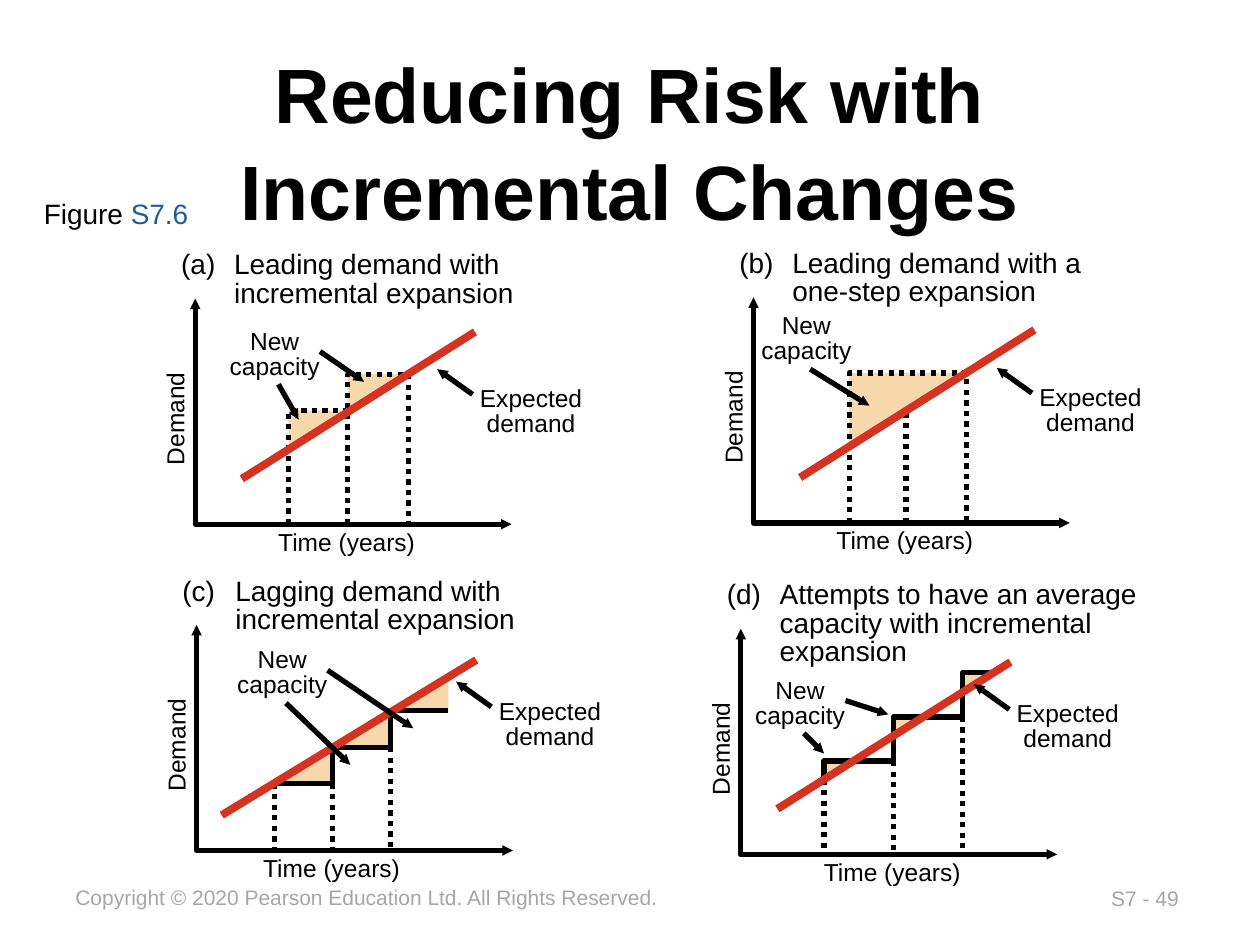
from dataclasses import dataclass

from lxml.etree import SubElement
from pptx import Presentation
from pptx.dml.color import RGBColor
from pptx.enum.dml import MSO_LINE
from pptx.enum.shapes import MSO_CONNECTOR
from pptx.enum.text import MSO_ANCHOR, PP_ALIGN
from pptx.oxml.ns import qn
from pptx.util import Inches, Pt

BLACK, GRAY, BLUE = "000000", "A6A6A6", "255898"
RED, TAN = "D33320", "F7D7AC"
AXIS_WIDTH, AXIS_HEIGHT = 2.51, 1.79


@dataclass
class Stairs:
    start: tuple
    tread: float
    rise: float
    count: int
    last_tread: float
    lagging: bool = False
    solid: bool = False

    def steps(self):
        x, y = self.start
        for index in range(self.count):
            last = index == self.count - 1
            left = x + index * self.tread
            right = left + (self.last_tread if last else self.tread)
            yield index, left, right, y - index * self.rise


@dataclass
class Panel:
    caption: str
    caption_width: float
    origin: tuple
    capacity: tuple
    expected: tuple
    demand_start: tuple
    demand_run: float
    stairs: Stairs
    tips: list
    slope: float = 0.63
    time_offset: float = 0.56

    def place(self, x, y):
        return self.origin[0] + x, self.origin[1] + y

    def demand_at(self, x):
        return self.demand_start[1] - (x - self.demand_start[0]) * self.slope

    def time_at(self, y):
        return self.demand_start[0] + (self.demand_start[1] - y) / self.slope


PANELS = [
    Panel("(a)\tLeading demand with incremental expansion", 3.14,
          (1.55, 2.37), (0.13, 0.2), (2.07, 0.66), (0.37, 1.43), 1.85,
          Stairs((0.74, 0.89), 0.47, 0.29, 2, 0.48),
          [(0.82, 0.96), (1.34, 0.66)]),
    Panel("(b)\tLeading demand with a one-step expansion", 3.14,
          (5.98, 2.36), (-0.08, 0.09), (2.08, 0.66), (0.37, 1.43), 1.86,
          Stairs((0.76, 0.6), 0.45, 0, 1, 0.93),
          [(0.92, 0.86)]),
    Panel("(c)\tLagging demand with incremental expansion", 3.53,
          (1.56, 4.96), (0.18, 0.14), (2.21, 0.55), (0.2, 1.51), 2.02,
          Stairs((0.62, 1.26), 0.46, 0.29, 3, 0.46, lagging=True, solid=True),
          [(1.22, 1.11), (1.72, 0.82)], slope=0.61, time_offset=0.43),
    Panel("(d)\tAttempts to have an average capacity with incremental expansion", 3.74,
          (5.88, 4.99), (-0.03, 0.35), (2, 0.54), (0.29, 1.43), 1.85,
          Stairs((0.66, 1.05), 0.55, 0.35, 3, 0.26, solid=True),
          [(0.66, 0.99), (1.17, 0.68)]),
]


def color(value):
    return RGBColor.from_string(value)


def add_text(page, area, spans, size, bold=False, align=PP_ALIGN.LEFT,
             spacing=None, wrap=False, hanging=0):
    box = page.shapes.add_textbox(*map(Inches, area))
    box.text_frame.word_wrap = wrap
    para = box.text_frame.paragraphs[0]
    para.alignment = align
    if spacing:
        para.line_spacing = spacing
    if hanging:
        properties = para._p.get_or_add_pPr()
        properties.set("marL", str(Inches(hanging)))
        properties.set("indent", str(-Inches(hanging)))
    for text, tint in spans:
        span = para.add_run()
        span.text = text
        span.font.name = "Arial"
        span.font.size = Pt(size)
        span.font.bold = bold
        span.font.color.rgb = color(tint)
    return box


def style_line(shape, tint=BLACK, width=3, dotted=False, ends=()):
    shape.line.color.rgb = color(tint)
    shape.line.width = Pt(width)
    if dotted:
        shape.line.dash_style = MSO_LINE.ROUND_DOT
    outline = shape.element.spPr.find(qn("a:ln"))
    for end in ends:
        SubElement(outline, qn(f"a:{end}"), type="triangle", w="sm", len="sm")


def add_line(page, panel, start, end, **style):
    points = (*panel.place(*start), *panel.place(*end))
    line = page.shapes.add_connector(MSO_CONNECTOR.STRAIGHT, *map(Inches, points))
    style_line(line, **style)
    SubElement(line.element.spPr, qn("a:effectLst"))


def add_outline(page, panel, points, closed):
    corners = [tuple(map(Inches, panel.place(*point))) for point in points]
    builder = page.shapes.build_freeform(*corners[0])
    builder.add_line_segments(corners[1:], close=closed)
    shape = builder.convert_to_shape()
    shape.shadow.inherit = False
    return shape


def add_area(page, panel, x, y):
    points = [(x, panel.demand_at(x)), (x, y), (panel.time_at(y), y)]
    shape = add_outline(page, panel, points, True)
    shape.fill.solid()
    shape.fill.fore_color.rgb = color(TAN)
    shape.line.fill.background()


def add_path(page, panel, points, **style):
    shape = add_outline(page, panel, points, False)
    shape.fill.background()
    style_line(shape, **style)


def add_stairs(page, panel):
    stairs = panel.stairs
    for index, left, right, y in stairs.steps():
        add_area(page, panel, right if stairs.lagging else left, y)
    for index, left, right, y in stairs.steps():
        foot = y + stairs.rise if index else max(y, panel.demand_at(left))
        if not stairs.solid:
            points = [(left, AXIS_HEIGHT), (left, y), (right, y)]
            if index == stairs.count - 1:
                points.append((right, AXIS_HEIGHT))
            add_path(page, panel, points, dotted=True)
            continue
        if stairs.lagging and index == 0:
            add_line(page, panel, (left, y), (right, y))
        else:
            add_path(page, panel, [(left, foot), (left, y), (right, y)])
        add_line(page, panel, (left, foot), (left, AXIS_HEIGHT), dotted=True)
    if stairs.count == 1:
        middle = stairs.start[0] + stairs.tread
        add_line(page, panel, (middle, AXIS_HEIGHT),
                 (middle, panel.demand_at(middle)), dotted=True)


def add_label(page, panel, text, place, width):
    add_text(page, (*panel.place(*place), width, 0.51), [(text, BLACK)], 14,
             align=PP_ALIGN.CENTER, spacing=0.85, wrap=True)


def add_panel(page, panel):
    add_stairs(page, panel)
    add_path(page, panel, [(0, 0), (0, AXIS_HEIGHT), (AXIS_WIDTH, AXIS_HEIGHT)],
             ends=("headEnd", "tailEnd"))
    finish = panel.demand_start[0] + panel.demand_run
    add_line(page, panel, panel.demand_start, (finish, panel.demand_at(finish)),
             tint=RED, width=4.5)
    add_text(page, (*panel.place(-0.21, -0.42), panel.caption_width, 0.57),
             [(panel.caption, BLACK)], 16, spacing=0.85, wrap=True, hanging=0.42)
    axis_title = add_text(page, (*panel.place(-0.65, 0.77), 0.97, 0.33),
                          [("Demand", BLACK)], 14)
    axis_title.rotation = 270
    add_text(page, (*panel.place(panel.time_offset, 1.76), 1.3, 0.34),
             [("Time (years)", BLACK)], 14)
    add_label(page, panel, "New capacity", panel.capacity, 1)
    add_label(page, panel, "Expected demand", panel.expected, 1.19)
    x, y = panel.capacity
    for start, tip in zip([(x + 0.53, y + 0.48), (x + 0.86, y + 0.22)], panel.tips):
        add_line(page, panel, start, tip, ends=("tailEnd",))
    x, y = panel.expected
    add_line(page, panel, (x + 0.13, y + 0.1), (x - 0.15, y - 0.1), ends=("tailEnd",))


def main():
    deck = Presentation()
    deck.slide_width, deck.slide_height = Inches(10), Inches(7.5)
    page = deck.slides.add_slide(deck.slide_layouts[6])
    add_text(page, (8.72, 6.98, 0.76, 0.3), [("S7 - 49", GRAY)], 12)
    add_text(page, (0.5, 6.97, 4.86, 0.3),
             [("Copyright © 2020 Pearson Education Ltd. All Rights Reserved.", GRAY)], 12)
    title = add_text(page, (0.75, 0.28, 8.5, 1.65),
                     [("Reducing Risk with Incremental Changes", BLACK)], 44,
                     bold=True, align=PP_ALIGN.CENTER, spacing=1.05, wrap=True)
    title.text_frame.vertical_anchor = MSO_ANCHOR.MIDDLE
    add_text(page, (0.25, 1.51, 1.4, 0.37), [("Figure ", BLACK), ("S7.6", BLUE)], 16)
    for panel in PANELS:
        add_panel(page, panel)
    deck.save("out.pptx")


if __name__ == "__main__":
    main()
